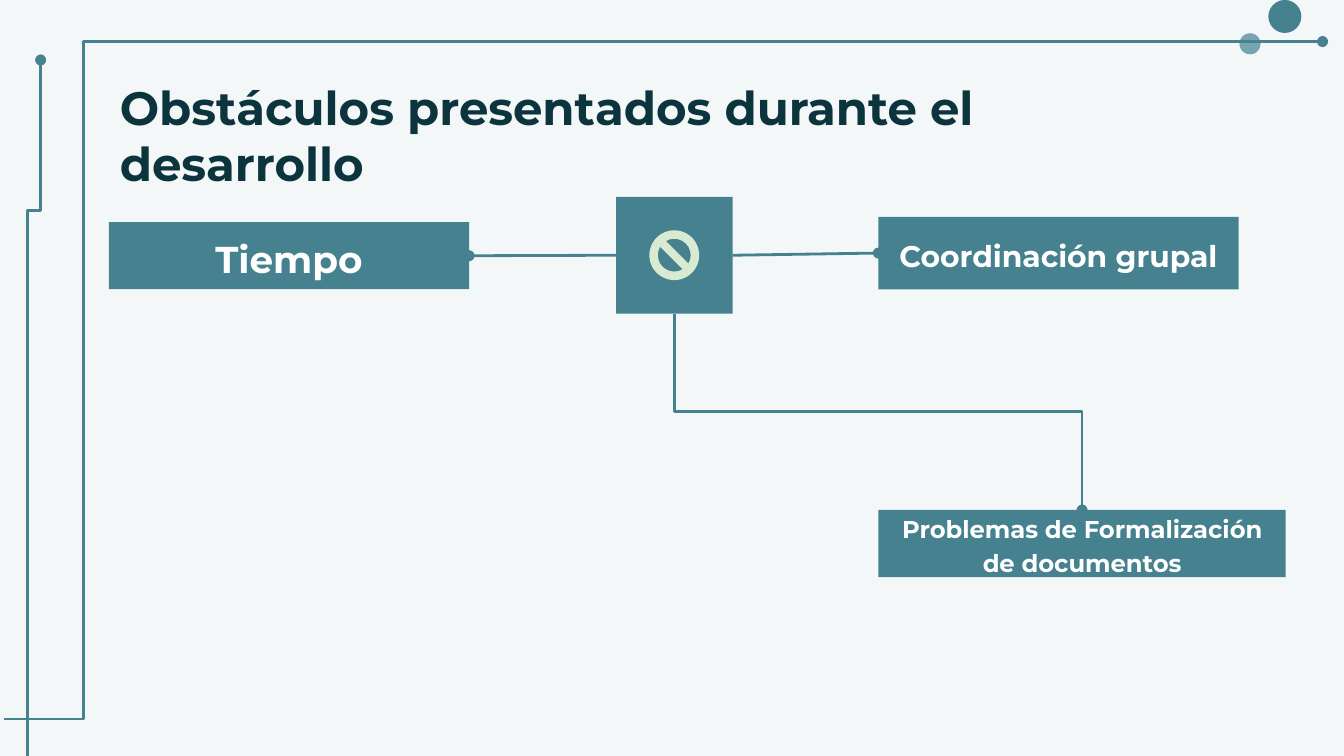
"""Build a slide on the obstacles met during development."""
from lxml.etree import SubElement
from pptx import Presentation
from pptx.dml.color import RGBColor
from pptx.enum.shapes import MSO_CONNECTOR, MSO_SHAPE
from pptx.enum.text import MSO_ANCHOR, MSO_AUTO_SIZE, PP_ALIGN
from pptx.oxml.ns import qn
from pptx.util import Pt

theme = {
    "font": "Montserrat",
    "back": "F3F7F8", "teal": "45818E", "pale": "76A5AF",
    "mint": "D9EAD3", "ink": "0C343D", "white": "FFFFFF",
    "title": 25, "large": 20, "mid": 16, "small": 13,
}


def write(shape, text, size, tint, align, anchor, space):
    frame = shape.text_frame
    frame.text = text
    line = frame.paragraphs[0]
    inset = Pt(7.2)
    formats = (
        (frame, {"word_wrap": True, "auto_size": MSO_AUTO_SIZE.NONE,
                 "vertical_anchor": anchor, "margin_left": inset,
                 "margin_right": inset, "margin_top": inset,
                 "margin_bottom": inset}),
        (line, {"alignment": align, "line_spacing": space}),
        (line.runs[0].font, {"name": theme["font"], "size": Pt(theme[size]),
                             "bold": True}),
    )
    for target, values in formats:
        for key, value in values.items():
            setattr(target, key, value)
    line.runs[0].font.color.rgb = RGBColor.from_string(theme[tint])


def draw(kind, tint, left, top, width, height):
    shape = slide.shapes.add_shape(kind, Pt(left), Pt(top), Pt(width), Pt(height))
    shape.shadow.inherit = False
    shape.fill.solid()
    shape.fill.fore_color.rgb = RGBColor.from_string(theme[tint])
    shape.line.fill.background()
    return shape


deck = Presentation()
deck.slide_width, deck.slide_height = Pt(720), Pt(405)
slide = deck.slides.add_slide(deck.slide_layouts[5])
slide.background.fill.solid()
slide.background.fill.fore_color.rgb = RGBColor.from_string(theme["back"])

title = slide.shapes.title
for key, value in {"left": 57, "top": 35.3, "width": 607, "height": 45.4}.items():
    setattr(title, key, Pt(value))
write(title, "Obstáculos presentados durante el desarrollo", "title", "ink",
      PP_ALIGN.LEFT, MSO_ANCHOR.TOP, 1)

for tint, left, top, size in (("pale", 664, 17.8, 11.3), ("teal", 679.5, 0, 17.7)):
    draw(MSO_SHAPE.OVAL, tint, left, top, size, size)

hub = draw(MSO_SHAPE.RECTANGLE, "teal", 330, 105.5, 62.5, 62.5)
boxes = []
for text, size, left, top, width, height in (
    ("Tiempo", "large", 58.3, 119, 193, 36),
    ("Coordinación grupal", "mid", 470.6, 116.2, 193, 38.8),
    ("Problemas de Formalización de documentos", "small", 470.6, 273.2, 218.2, 36),
):
    box = draw(MSO_SHAPE.RECTANGLE, "teal", left, top, width, height)
    write(box, text, size, "white", PP_ALIGN.CENTER, MSO_ANCHOR.MIDDLE, 1.15)
    boxes.append(box)

links = []
for box, start, end in ((boxes[0], 1, 3), (boxes[1], 3, 1)):
    link = slide.shapes.add_connector(MSO_CONNECTOR.STRAIGHT, 0, 0, 0, 0)
    link.begin_connect(hub, start)
    link.end_connect(box, end)
    links.append(link)

for x1, y1, x2, y2, bend, upright in (
    (2.2, 385.2, 708.5, 22.3, 0.06, False),
    (14.6, 416, 21.8, 32.1, 0.79, True),
    (361.25, 168, 579.7, 273.2, 0.5, True),
):
    if upright:
        midx, midy = (x1 + x2) / 2, (y1 + y2) / 2
        halfx, halfy = (x2 - x1) / 2, (y2 - y1) / 2
        x1, y1, x2, y2 = midx + halfy, midy - halfx, midx - halfy, midy + halfx
    link = slide.shapes.add_connector(
        MSO_CONNECTOR.ELBOW, Pt(x1), Pt(y1), Pt(x2), Pt(y2))
    link.rotation = 270 if upright else 0
    guides = link._element.spPr.find(qn("a:prstGeom")).find(qn("a:avLst"))
    SubElement(guides, qn("a:gd"), name="adj1", fmla=f"val {round(bend * 100000)}")
    links.append(link)

for link in links:
    link.line.width = Pt(1.5)
    link.line.color.rgb = RGBColor.from_string(theme["teal"])
    props = link._element.spPr
    SubElement(props.find(qn("a:ln")), qn("a:tailEnd"), type="oval")
    SubElement(props, qn("a:effectLst"))

ban = draw(MSO_SHAPE.NO_SYMBOL, "mint", 347.9, 123.4, 26.7, 26.7)
ban.adjustments[0] = 0.17

deck.save("out.pptx")
